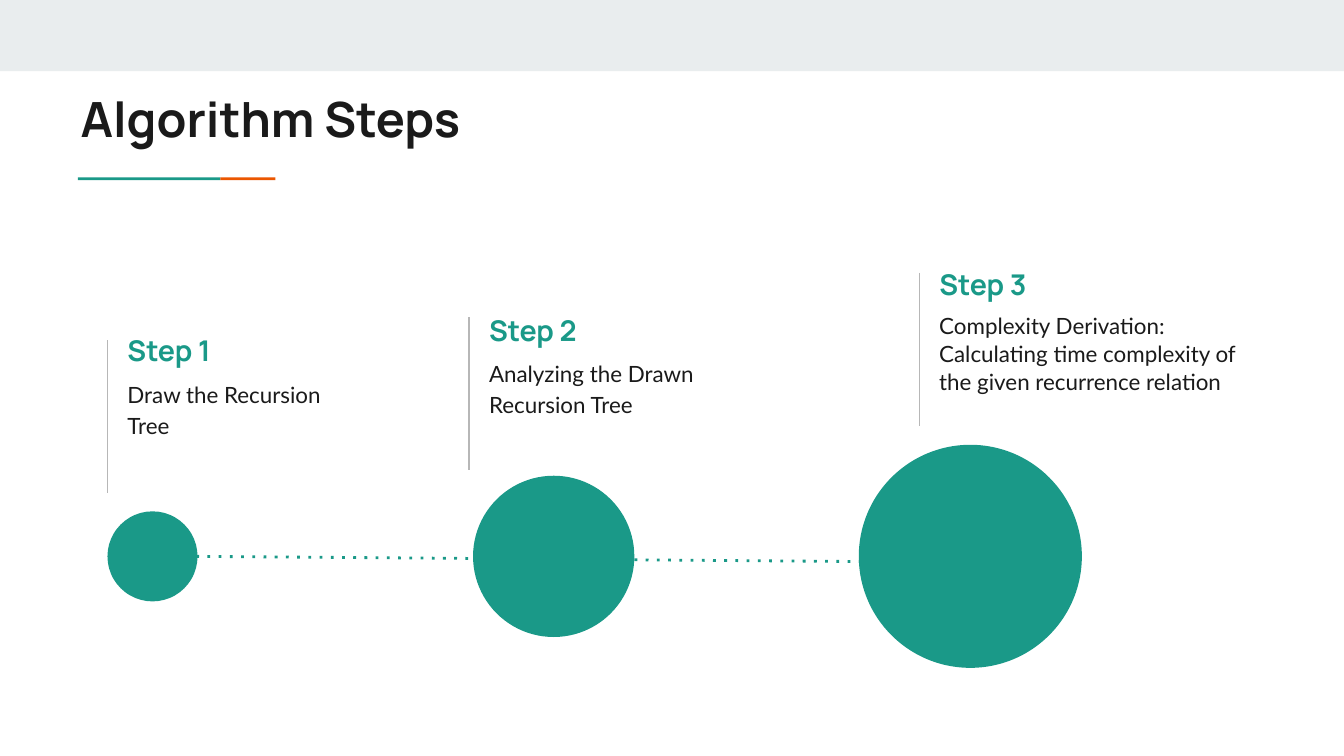
import pptx
import pptx.dml.color
import pptx.enum.shapes
import pptx.enum.text
import pptx.oxml.ns
import pptx.util
from lxml import etree

Inches = pptx.util.Inches
RGBColor = pptx.dml.color.RGBColor
Shape = pptx.enum.shapes.MSO_SHAPE
Anchor = pptx.enum.text.MSO_ANCHOR
qn = pptx.oxml.ns.qn

TEAL = RGBColor(0x1A, 0x99, 0x88)
ORANGE = RGBColor(0xEB, 0x56, 0x00)
INK = RGBColor(0x1A, 0x1A, 0x1A)
RULE_GRAY = RGBColor(0xB7, 0xB7, 0xB7)
BAND_GRAY = RGBColor(0xE9, 0xED, 0xEE)

# Content
TITLE = "Algorithm Steps"
STEPS = [
    dict(name="Step 1", text="Draw the Recursion Tree", rule=(0.8, 2.53),
         heading_top=2.39, body=(2.71, 1.98, 0.63), spacing=1.15,
         circle=(0.8, 0.67)),
    dict(name="Step 2", text="Analyzing the Drawn Recursion Tree", rule=(3.49, 2.36),
         heading_top=2.24, body=(2.55, 1.98, 0.63), spacing=1.15,
         circle=(3.52, 1.2)),
    dict(name="Step 3",
         text="Complexity Derivation: Calculating time complexity of "
              "the given recurrence relation", rule=(6.84, 2.03),
         heading_top=1.9, body=(2.21, 2.56, 0.84), spacing=1.05,
         circle=(6.39, 1.66)),
]
DOTTED_LINKS = [(1.46, 4.14), (3.97, 4.16)]
LINK_WIDTH, LINK_DROP = 2.66, 0.02
RULE_HEIGHT = 1.14
RULE_GAP = 0.05
CIRCLE_CENTER = 4.14


def add_filled(slide, kind, left, top, width, height, color):
    shape = slide.shapes.add_shape(
        kind, Inches(left), Inches(top), Inches(width), Inches(height))
    shape.shadow.inherit = False
    shape.fill.solid()
    shape.fill.fore_color.rgb = color
    shape.line.fill.background()


def add_line(slide, left, top, right, bottom, color, weight, dotted=False):
    line = slide.shapes.add_connector(
        pptx.enum.shapes.MSO_CONNECTOR.STRAIGHT,
        Inches(left), Inches(top), Inches(right), Inches(bottom))
    line.line.color.rgb = color
    line.line.width = pptx.util.Pt(weight)
    properties = line._element.spPr
    if dotted:
        etree.SubElement(properties.find(qn("a:ln")), qn("a:prstDash"), val="dot")
    etree.SubElement(properties, qn("a:effectLst"))


def write(shape, text, size, font, color, bold=False, anchor=Anchor.TOP, spacing=1.0):
    frame = shape.text_frame
    frame.word_wrap = True
    frame.auto_size = pptx.enum.text.MSO_AUTO_SIZE.NONE
    frame.vertical_anchor = anchor
    frame.margin_left = frame.margin_right = Inches(0.1)
    frame.margin_top = frame.margin_bottom = Inches(0.1)
    paragraph = frame.paragraphs[0]
    paragraph.alignment = pptx.enum.text.PP_ALIGN.LEFT
    paragraph.line_spacing = spacing
    run = paragraph.add_run()
    run.text = text
    run.font.size = pptx.util.Pt(size)
    run.font.name = font
    run.font.bold = bold
    run.font.color.rgb = color


def add_text(slide, left, top, width, height, *args, **options):
    box = slide.shapes.add_textbox(
        Inches(left), Inches(top), Inches(width), Inches(height))
    write(box, *args, **options)


def main():
    presentation = pptx.Presentation()
    presentation.slide_width = Inches(10)
    presentation.slide_height = Inches(10 * 9 / 16)
    slide = presentation.slides.add_slide(presentation.slide_layouts[5])

    # Top band and two-colour accent under the title
    add_filled(slide, Shape.RECTANGLE, 0, 0, 10, 0.53, BAND_GRAY)
    add_filled(slide, Shape.RECTANGLE, 0.58, 1.32, 1.06, 0.02, TEAL)
    add_filled(slide, Shape.RECTANGLE, 1.64, 1.32, 0.41, 0.02, ORANGE)

    # Title
    title = slide.shapes.title
    title.left, title.top = Inches(0.5), Inches(0.56)
    title.width, title.height = Inches(8.99), Inches(0.84)
    write(title, TITLE, 26, "Manrope", INK, bold=True)

    # Dotted links, behind the circles
    for left, top in DOTTED_LINKS:
        add_line(slide, left, top, left + LINK_WIDTH, top + LINK_DROP, TEAL, 1.5,
                 dotted=True)

    # Steps: rule, heading, description and growing circle
    for step in STEPS:
        rule_left, rule_top = step["rule"]
        add_line(slide, rule_left, rule_top, rule_left, rule_top + RULE_HEIGHT,
                 RULE_GRAY, 0.75)
        text_left = rule_left + RULE_GAP
        add_text(slide, text_left, step["heading_top"], 1.98, 0.43, step["name"],
                 15.3, "Manrope", TEAL, bold=True, anchor=Anchor.MIDDLE)
        add_text(slide, text_left, *step["body"], step["text"],
                 12, "Lato", INK, spacing=step["spacing"])
        circle_left, diameter = step["circle"]
        add_filled(slide, Shape.OVAL, circle_left, CIRCLE_CENTER - diameter / 2,
                   diameter, diameter, TEAL)

    presentation.save("out.pptx")


if __name__ == "__main__":
    main()
